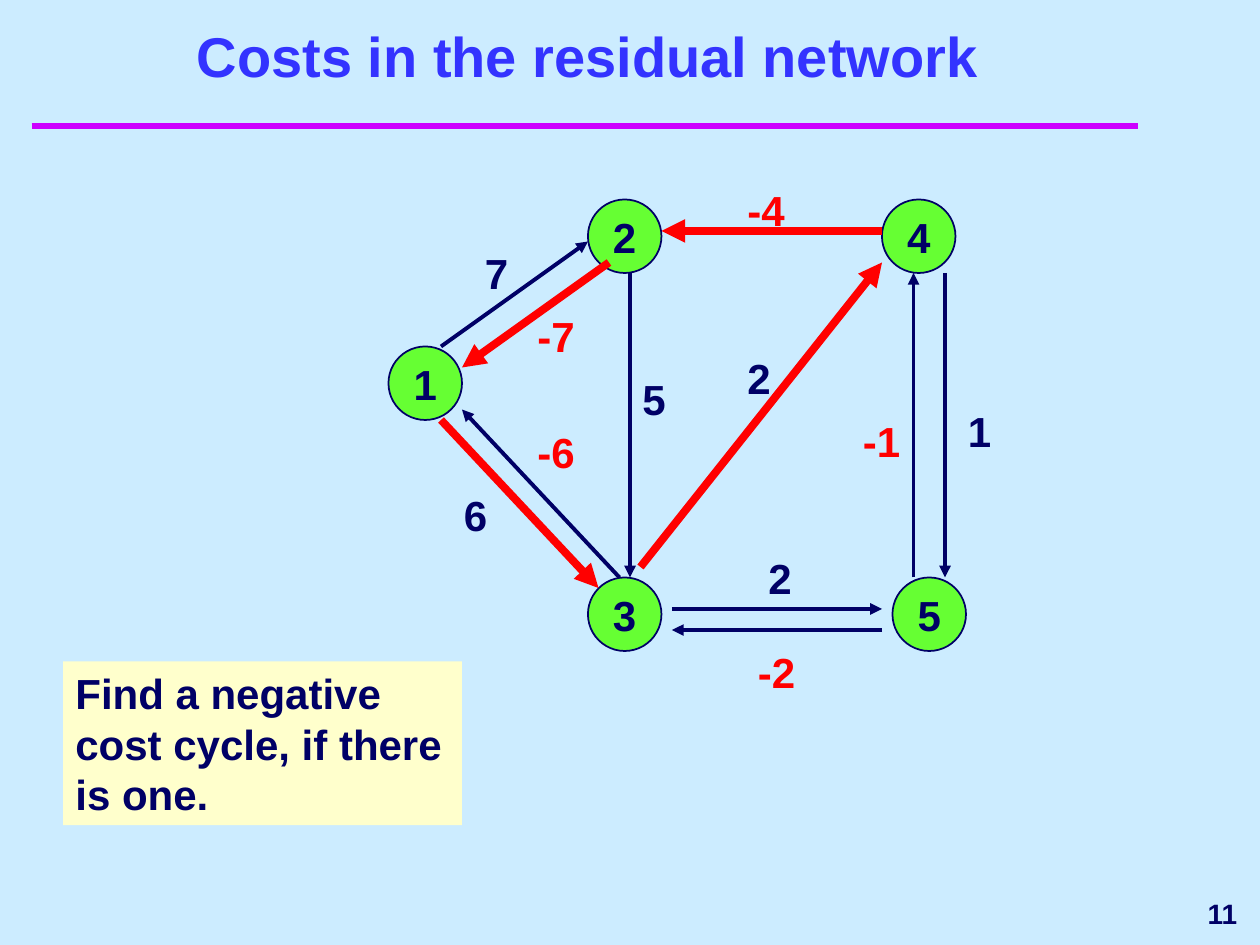
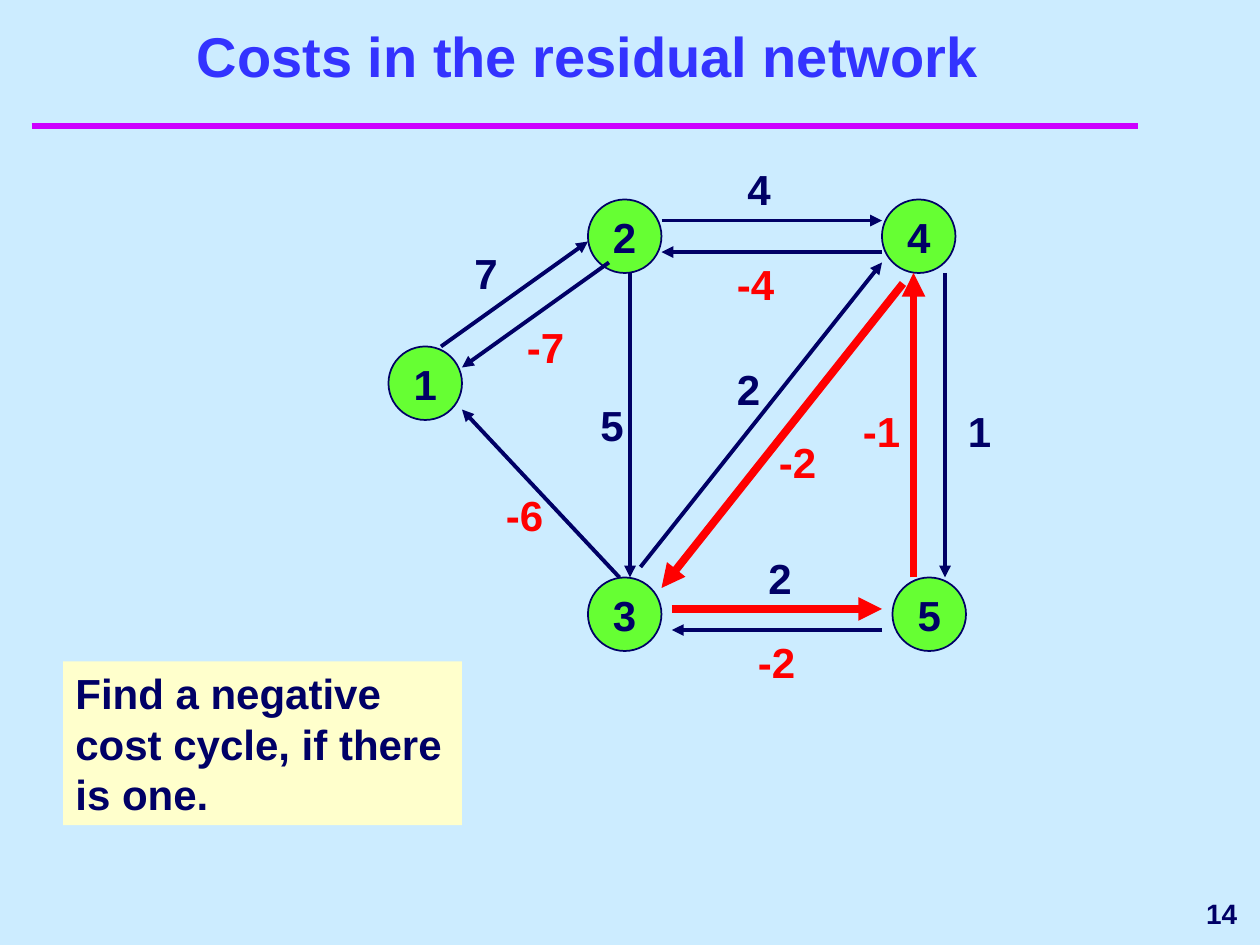
import pptx
import pptx.util
import pptx.dml.color
import pptx.enum.shapes
import pptx.enum.text
import pptx.oxml
import pptx.oxml.ns
from pptx.util import Cm, Pt

RGBColor = pptx.dml.color.RGBColor
PALE_BLUE = RGBColor(0xCC, 0xEC, 0xFF)
NAVY = RGBColor(0x00, 0x00, 0x66)
TITLE_BLUE = RGBColor(0x33, 0x33, 0xFF)
MAGENTA = RGBColor(0xCC, 0x00, 0xFF)
GREEN = RGBColor(0x66, 0xFF, 0x33)
RED = RGBColor(0xFF, 0x00, 0x00)
CREAM = RGBColor(0xFF, 0xFF, 0xCC)

FONT = "Arial"
ALIGN = pptx.enum.text.PP_ALIGN
ANCHOR = pptx.enum.text.MSO_ANCHOR
SHAPE = pptx.enum.shapes.MSO_SHAPE

TITLE = "Costs in the residual network"
NOTE = "Find a negative cost cycle, if there is one."

# All places below are in grid steps of a twelfth of an inch.
NODE_SIZE = 7
NODES = {1: (37, 33), 2: (56, 19), 3: (56, 55), 4: (84, 19), 5: (85, 55)}

# (from node, to node): start and arrow tip
ARCS = {
    (1, 2): (42, 33, 56, 23),
    (2, 1): (58, 25, 44, 35),
    (1, 3): (42, 40, 57, 56),
    (3, 1): (59, 55, 44, 39),
    (2, 3): (60, 26, 60, 55),
    (2, 4): (63, 21, 84, 21),
    (4, 2): (84, 24, 63, 24),
    (3, 4): (61, 54, 84, 25),
    (4, 3): (86, 27, 63, 56),
    (4, 5): (90, 26, 90, 55),
    (5, 4): (87, 55, 87, 26),
    (3, 5): (64, 58, 84, 58),
    (5, 3): (84, 60, 64, 60),
}
LONE_ARCS = {**ARCS, (4, 2): (84, 22, 63, 22)}

# arc: cost, then left and top of its label
FIRST_COSTS = {
    (1, 2): (7, 45, 23), (2, 1): (-7, 50, 29),
    (1, 3): (6, 43, 46), (3, 1): (-6, 50, 40),
    (2, 3): (5, 60, 35), (4, 2): (-4, 70, 17),
    (3, 4): (2, 70, 33),
    (4, 5): (1, 91, 38), (5, 4): (-1, 81, 39),
    (3, 5): (2, 72, 52), (5, 3): (-2, 71, 61),
}
SECOND_COSTS = {
    (1, 2): (7, 44, 23), (2, 1): (-7, 49, 30),
    (3, 1): (-6, 47, 46), (2, 3): (5, 56, 37.5),
    (2, 4): (4, 70, 15), (4, 2): (-4, 69, 24),
    (3, 4): (2, 69, 34), (4, 3): (-2, 73, 41),
    (4, 5): (1, 91, 38), (5, 4): (-1, 81, 38),
    (3, 5): (2, 72, 52), (5, 3): (-2, 71, 60),
}
FIRST_CYCLE = [(4, 2), (1, 3), (3, 4), (2, 1)]
SECOND_CYCLE = [(3, 5), (5, 4), (4, 3)]


def grid(*steps):
    return [Cm(step * 2.54 / 12) for step in steps]


def write(box, text, size=24, color=NAVY, align=ALIGN.LEFT, anchor=ANCHOR.TOP,
          wrap=True, line_height=None):
    frame = box.text_frame
    frame.word_wrap = wrap
    frame.vertical_anchor = anchor
    para = frame.paragraphs[0]
    para.text = text
    para.alignment = align
    para.line_spacing = line_height
    para.font.name = FONT
    para.font.size = Pt(size)
    para.font.bold = True
    para.font.color.rgb = color


def add_text(page, place, text, **style):
    write(page.shapes.add_textbox(*grid(*place)), text, **style)


def add_filled(page, kind, place, fill):
    shape = page.shapes.add_shape(kind, *grid(*place))
    shape.shadow.inherit = False
    shape.fill.solid()
    shape.fill.fore_color.rgb = fill
    return shape


def add_line(page, ends, color, width, arrow=False):
    line = page.shapes.add_connector(
        pptx.enum.shapes.MSO_CONNECTOR.STRAIGHT, *grid(*ends))
    line.line.color.rgb = color
    line.line.width = Pt(width)
    if arrow:
        tip = pptx.oxml.ns.qn("a:tailEnd")
        outline = line.line._get_or_add_ln()
        outline.append(outline.makeelement(tip, {"type": "triangle"}))
    properties = line._element.spPr
    properties.append(properties.makeelement(pptx.oxml.ns.qn("a:effectLst"), {}))


def add_node(page, number, left, top):
    node = add_filled(page, SHAPE.OVAL, (left, top, NODE_SIZE, NODE_SIZE), GREEN)
    node.line.color.rgb = NAVY
    node.line.width = Pt(1)
    write(node, str(number), align=ALIGN.CENTER, anchor=ANCHOR.MIDDLE, wrap=False)


def add_note(page):
    note = add_filled(page, SHAPE.RECTANGLE, (6, 63, 38, 15.6), CREAM)
    note.line.fill.background()
    write(note, NOTE, line_height=Pt(28.8))


def add_page(deck, number):
    """Adds a page with the shared background, rule, number and title."""
    page = deck.slides.add_slide(deck.slide_layouts[6])
    page.background.fill.solid()
    page.background.fill.fore_color.rgb = PALE_BLUE
    add_line(page, (3, 12, 108.4, 12), MAGENTA, 4)
    add_text(page, (96, 84, 23, 6), str(number), size=16,
             align=ALIGN.RIGHT, anchor=ANCHOR.MIDDLE)
    add_text(page, (5, 4, 102, 5), TITLE, size=32, color=TITLE_BLUE,
             align=ALIGN.CENTER, anchor=ANCHOR.BOTTOM)
    return page


def add_network(page, arcs, costs, cycle):
    """Draws nodes, arcs and costs, with the negative cycle in red on top."""
    for number, corner in NODES.items():
        add_node(page, number, *corner)
    for arc in costs:
        if arc not in cycle:
            add_line(page, arcs[arc], NAVY, 2.25, arrow=True)
    for cost, left, top in costs.values():
        add_text(page, (left, top, 7, 6), str(cost),
                 color=RED if cost < 0 else NAVY, line_height=Pt(28.8))
    for arc in cycle:
        add_line(page, arcs[arc], RED, 4.5, arrow=True)


def main():
    deck = pptx.Presentation()
    deck.slide_width, deck.slide_height = Cm(25.4), Cm(19.05)
    for number, arcs, costs, cycle in (
            (11, LONE_ARCS, FIRST_COSTS, FIRST_CYCLE),
            (14, ARCS, SECOND_COSTS, SECOND_CYCLE)):
        page = add_page(deck, number)
        add_network(page, arcs, costs, cycle)
        add_note(page)
    deck.save("out.pptx")


if __name__ == "__main__":
    main()
